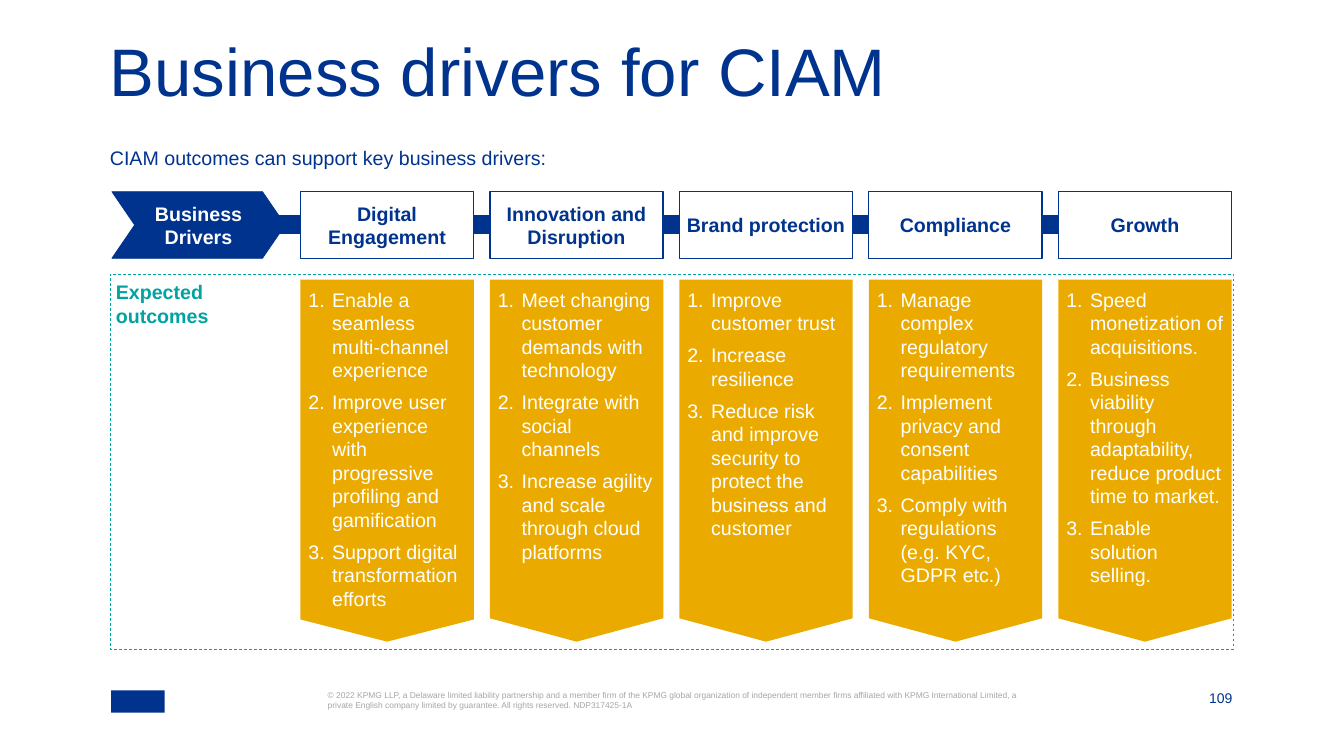
from pptx import Presentation
from pptx import util as u
from pptx.dml.color import RGBColor
from pptx.enum import dml, shapes, text
from pptx.oxml.ns import qn
from lxml import etree

Cm, Pt = u.Cm, u.Pt
NAVY = RGBColor(0x00, 0x33, 0x8D)
TEAL = RGBColor(0x00, 0xA3, 0xA1)
GOLD = RGBColor(0xEA, 0xAA, 0x00)
GREY = RGBColor(0xA6, 0xA6, 0xA6)
WHITE = RGBColor(0xFF, 0xFF, 0xFF)

KIND = shapes.MSO_SHAPE
LEFT, CENTER, RIGHT = text.PP_ALIGN.LEFT, text.PP_ALIGN.CENTER, text.PP_ALIGN.RIGHT
TOP, MIDDLE, BOTTOM = text.MSO_ANCHOR.TOP, text.MSO_ANCHOR.MIDDLE, text.MSO_ANCHOR.BOTTOM

# Column grid and margins, in cm
EDGE, WIDTH = 2.77, 28.32
FIRST, STEP, COL = 7.57, 4.775, 4.37
HEAD_TOP, HEAD_H = 4.83, 1.68
ARROW_TOP, ARROW_H = 7.05, 9.12

DRIVERS = [
    ("Digital Engagement", [
        "Enable a seamless multi-channel experience",
        "Improve user experience with progressive profiling and gamification",
        "Support digital transformation efforts"]),
    ("Innovation and Disruption", [
        "Meet changing customer demands with technology",
        "Integrate with social channels",
        "Increase agility and scale through cloud platforms"]),
    ("Brand protection", [
        "Improve customer trust",
        "Increase resilience",
        "Reduce risk and improve security to protect the business and customer"]),
    ("Compliance", [
        "Manage complex regulatory requirements",
        "Implement privacy and consent capabilities",
        "Comply with regulations (e.g. KYC, GDPR etc.)"]),
    ("Growth", [
        "Speed monetization of acquisitions.",
        "Business viability through adaptability, reduce product time to market.",
        "Enable solution selling."]),
]
RIGHTS = ("© 2022 KPMG LLP, a Delaware limited liability partnership and a member firm "
          "of the KPMG global organization of independent member firms affiliated with "
          "KPMG International Limited, a private English company limited by guarantee. "
          "All rights reserved. NDP317425-1A")


def number(para):
    """Give a paragraph a hanging automatic number."""
    props = para._p.get_or_add_pPr()
    props.set("marL", str(Cm(0.6)))
    props.set("indent", str(-Cm(0.6)))
    etree.SubElement(props, qn("a:buFont"), typeface="+mj-lt")
    etree.SubElement(props, qn("a:buAutoNum"), type="arabicPeriod")


def write(shape, *lines, size=14, color=NAVY, bold=False, align=LEFT,
          anchor=TOP, inset=0, after=0, lead=None, numbers=False):
    """Fill a shape with one paragraph for each line."""
    frame = shape.text_frame
    frame.word_wrap = True
    frame.vertical_anchor = anchor
    frame.margin_left = frame.margin_right = Cm(inset)
    frame.margin_top = frame.margin_bottom = Cm(inset)
    for i, line in enumerate(lines):
        para = frame.paragraphs[0] if i == 0 else frame.add_paragraph()
        para.text = line
        para.alignment = align
        para.space_after = Pt(after)
        if lead:
            para.line_spacing = Pt(lead)
        if numbers:
            number(para)
        for run in para.runs:
            font = run.font
            font.name, font.size, font.bold = "Arial", Pt(size), bold
            font.color.rgb = color


def label(slide, x, y, w, h, *lines, **form):
    box = slide.shapes.add_textbox(Cm(x), Cm(y), Cm(w), Cm(h))
    write(box, *lines, **form)


def block(slide, kind, x, y, w, h, fill=None, line=None, weight=0.5):
    shape = slide.shapes.add_shape(kind, Cm(x), Cm(y), Cm(w), Cm(h))
    shape.shadow.inherit = False
    if fill is None:
        shape.fill.background()
    else:
        shape.fill.solid()
        shape.fill.fore_color.rgb = fill
    if line is None:
        shape.line.fill.background()
    else:
        shape.line.color.rgb = line
        shape.line.width = Pt(weight)
    return shape


def header(slide, x, name):
    box = block(slide, KIND.RECTANGLE, x, HEAD_TOP, COL, HEAD_H, WHITE, NAVY, 1)
    write(box, name, bold=True, align=CENTER, anchor=MIDDLE, inset=0.1)


def arrow(slide, x, goals, tip):
    """Downward pentagon: turned a quarter, with its text turned back."""
    shift = (ARROW_H - COL) / 2
    shape = block(slide, KIND.PENTAGON, x - shift, ARROW_TOP + shift,
                  ARROW_H, COL, GOLD)
    shape.rotation = 90
    shape.adjustments[0] = tip
    write(shape, *goals, color=WHITE, inset=0.2, after=6, numbers=True)
    shape.text_frame._txBody.bodyPr.set("vert", "vert270")


def main():
    deck = Presentation()
    deck.slide_width, deck.slide_height = Cm(33.87), Cm(19.05)
    slide = deck.slides.add_slide(deck.slide_layouts[6])

    # Footer
    block(slide, KIND.RECTANGLE, 2.8, 17.4, 1.35, 0.56, NAVY)
    label(slide, 8.26, 17.4, 17.45, 1.04, RIGHTS, size=6, color=GREY)
    label(slide, 29.82, 17.4, 1.24, 0.41, "109", size=10, align=RIGHT, anchor=BOTTOM)

    # Title and lead-in
    label(slide, EDGE, 1.19, WIDTH, 1.47, "Business drivers for CIAM", size=48, lead=45)
    label(slide, EDGE, 3.68, WIDTH, 0.7,
          "CIAM outcomes can support key business drivers:", after=6)

    # Driver row
    block(slide, KIND.RECTANGLE, 6.93, 5.44, 19.91, 0.43, NAVY, NAVY)
    start = block(slide, KIND.CHEVRON, 2.82, HEAD_TOP, COL, HEAD_H, NAVY, NAVY)
    start.adjustments[0] = 0.342
    write(start, "Business Drivers", color=WHITE, bold=True, align=CENTER,
          anchor=MIDDLE, inset=0.15)

    # Outcome frame
    frame = block(slide, KIND.RECTANGLE, EDGE, 6.91, WIDTH, 9.45, line=TEAL)
    frame.line.dash_style = dml.MSO_LINE.DASH
    write(frame, "Expected\voutcomes", color=TEAL, bold=True, inset=0.15)

    # Columns
    for i, (name, goals) in enumerate(DRIVERS):
        x = FIRST + i * STEP
        header(slide, x, name)
        arrow(slide, x, goals, 0.128 if i == 0 else 0.135)

    deck.save("out.pptx")


if __name__ == "__main__":
    main()
